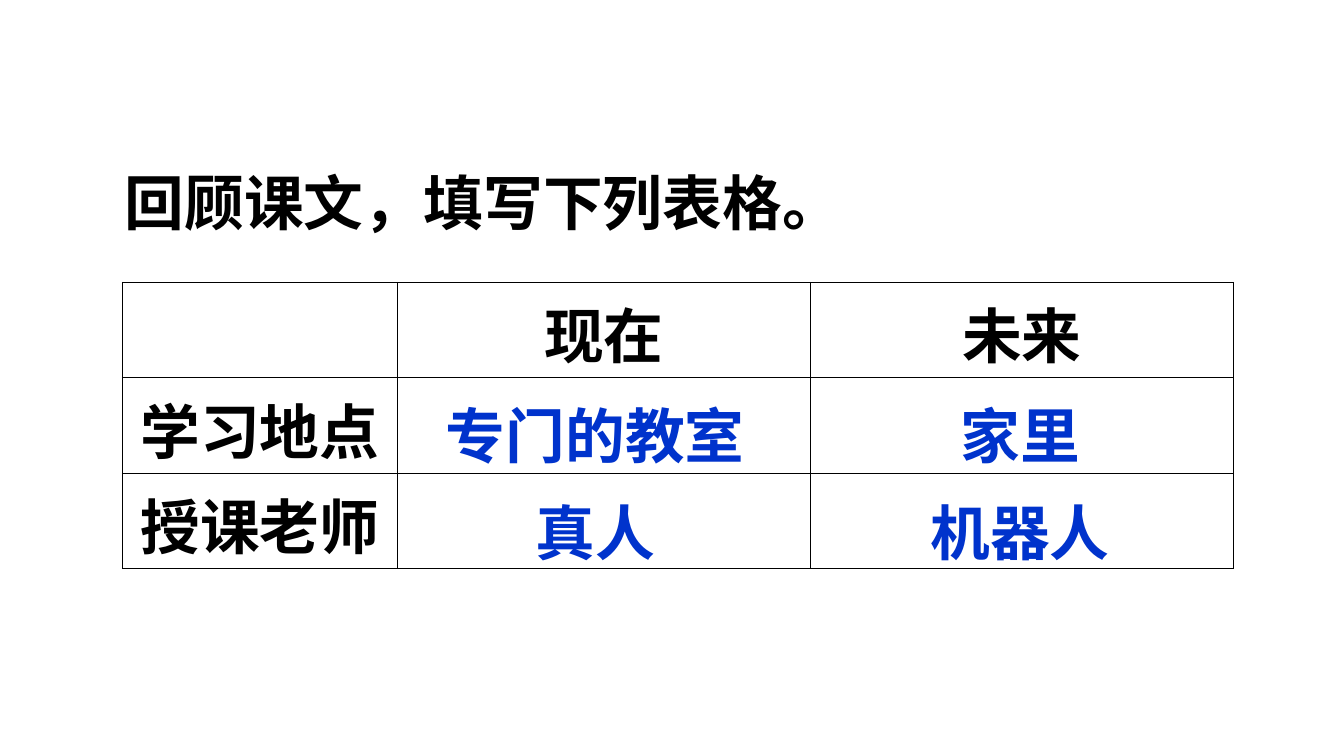
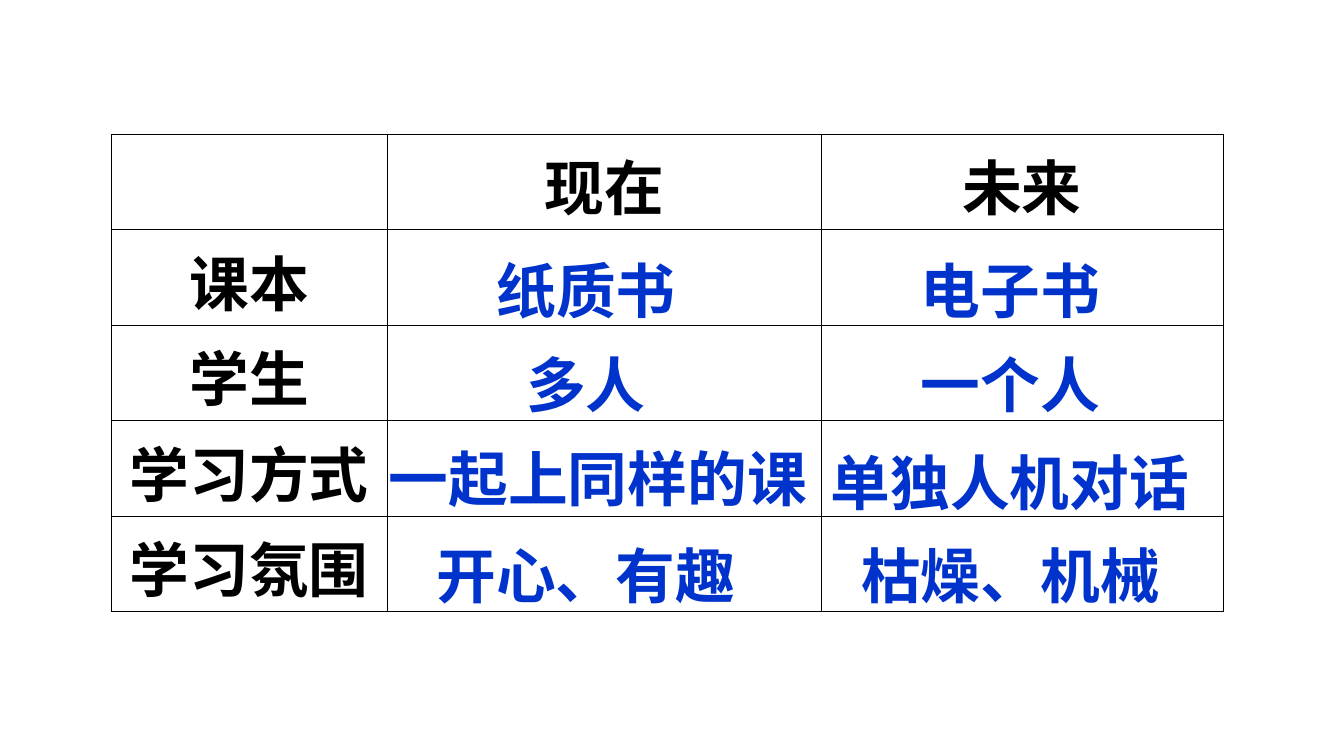
"""Build two review slides comparing the classroom of today with that of the future."""
from lxml import etree
from pptx import Presentation
from pptx.dml.color import RGBColor
from pptx.enum.text import MSO_ANCHOR, MSO_AUTO_SIZE, PP_ALIGN
from pptx.oxml import parse_xml
from pptx.oxml.ns import nsdecls, qn
from pptx.util import Inches, Pt

BLACK = RGBColor(0x00, 0x00, 0x00)
ANSWER_BLUE = RGBColor(0x00, 0x33, 0xCC)
FONT = "Noto Sans CJK SC"
CENTER, LEFT = PP_ALIGN.CENTER, PP_ALIGN.LEFT
MIDDLE = MSO_ANCHOR.MIDDLE
GROW = MSO_AUTO_SIZE.SHAPE_TO_FIT_TEXT
ROW_HEIGHT = 0.71
BOX_HEIGHT = 0.74
HEADINGS = ["", "现在", "未来"]

LESSONS = [
    {
        "prompt": "回顾课文，填写下列表格。",
        "corner": (0.91, 2.1),
        "columns": [2.05, 3.07, 3.15],
        "topics": ["学习地点", "授课老师"],
        "answers": [
            ("专门的教室", 3.17, 2.81, 2.52),
            ("家里", 6.33, 2.81, 2.52),
            ("真人", 3.17, 3.53, 2.52),
            ("机器人", 6.33, 3.53, 2.52),
        ],
    },
    {
        "prompt": None,
        "corner": (0.83, 1),
        "columns": [2.05, 3.23, 2.99],
        "topics": ["课本", "学生", "学习方式", "学习氛围"],
        "answers": [
            ("纸质书", 3.1, 1.73, 2.52),
            ("电子书", 6.26, 1.73, 2.52),
            ("多人", 3.1, 2.43, 2.52),
            ("一个人", 6.26, 2.43, 2.52),
            ("一起上同样的课", 2.71, 3.13, 3.48),
            ("单独人机对话", 6.02, 3.16, 2.99),
            ("开心、有趣", 3.1, 3.85, 2.52),
            ("枯燥、机械", 6.26, 3.85, 2.52),
        ],
    },
]


def write(frame, text, color, align):
    frame.text = text
    paragraph = frame.paragraphs[0]
    paragraph.alignment = align
    for run in paragraph.runs:
        run.font.size = Pt(32)
        run.font.bold = True
        run.font.name = FONT
        run.font.color.rgb = color
        etree.SubElement(run.font._element, qn("a:ea"), typeface=FONT)


def add_line(slide, text, left, top, width, color, align):
    frame = slide.shapes.add_textbox(
        Inches(left), Inches(top), Inches(width), Inches(BOX_HEIGHT)
    ).text_frame
    frame.word_wrap = True
    frame.auto_size = GROW
    write(frame, text, color, align)
    frame.paragraphs[0].line_spacing = 1.2


prs = Presentation()
prs.slide_width = Inches(10)
prs.slide_height = prs.slide_width * 9 // 16

for lesson in LESSONS:
    slide = prs.slides.add_slide(prs.slide_layouts[6])
    if lesson["prompt"]:
        add_line(slide, lesson["prompt"], 0.83, 1.08, 8.35, BLACK, LEFT)

    rows = [HEADINGS] + [[topic, "", ""] for topic in lesson["topics"]]
    left, top = lesson["corner"]
    comparison = slide.shapes.add_table(
        len(rows), len(HEADINGS), Inches(left), Inches(top),
        Inches(sum(lesson["columns"])), Inches(ROW_HEIGHT * len(rows)),
    ).table
    comparison.first_row = False
    comparison.horz_banding = False
    for column, width in zip(comparison.columns, lesson["columns"]):
        column.width = Inches(width)
    for r, labels in enumerate(rows):
        comparison.rows[r].height = Inches(ROW_HEIGHT)
        for c, label in enumerate(labels):
            cell = comparison.cell(r, c)
            cell.vertical_anchor = MIDDLE
            cell.margin_top, cell.margin_bottom = Inches(0.05), Inches(0.01)
            cell.fill.background()
            if label:
                write(cell.text_frame, label, BLACK, CENTER)
            properties = cell._tc.get_or_add_tcPr()
            for position, side in enumerate(("lnL", "lnR", "lnT", "lnB")):
                properties.insert(position, parse_xml(
                    f'<a:{side} {nsdecls("a")} w="{Pt(0.45)}"><a:solidFill>'
                    f'<a:srgbClr val="{BLACK}"/></a:solidFill></a:{side}>'
                ))

    for answer, left, top, width in lesson["answers"]:
        add_line(slide, answer, left, top, width, ANSWER_BLUE, CENTER)

prs.save("out.pptx")
